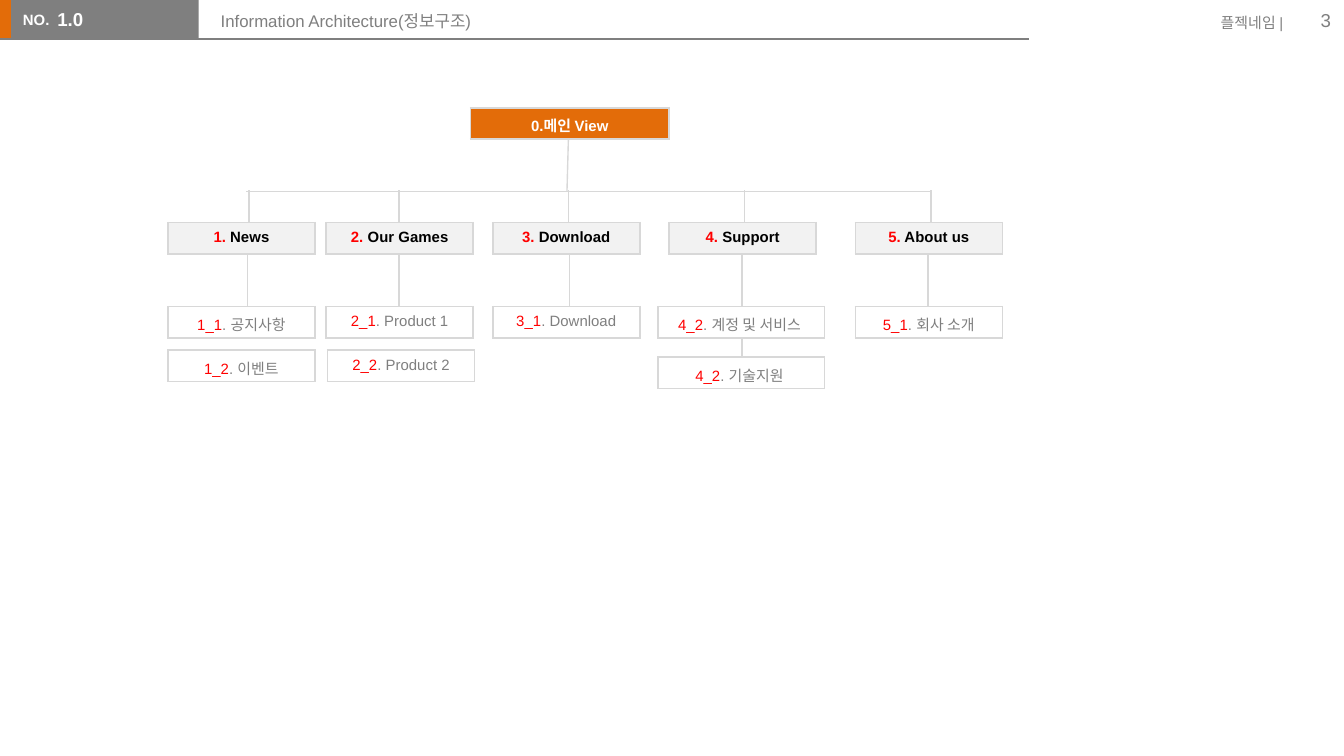
from dataclasses import dataclass

from lxml import etree
from pptx import Presentation
from pptx import util as u
from pptx.dml.color import RGBColor
from pptx.enum import shapes, text
from pptx.oxml.ns import qn


@dataclass(frozen=True)
class Theme:
    font: str = "Arial"
    small: int = 8
    title: int = 9
    large: int = 10
    accent: str = "E36C09"
    gray: str = "7F7F7F"
    rule: str = "D8D8D8"
    pale: str = "F2F2F2"
    white: str = "FFFFFF"
    black: str = "000000"
    red: str = "FF0000"


T = Theme()
ROW, FRAME = 13, 22
WIDE, SLIM = 119, 105
BUS_Y, HEAD_Y, LEAF_Y, NEXT_Y, LAST_Y = 137, 159, 219, 250, 255

# head left, stem x, drop x, drop end, head parts, leaves (left, top, width, code, words)
MENUS = [
    (120, 178, 177, LEAF_Y, ("1. ", "News"),
     [(120, LEAF_Y, SLIM, "1_1", ". 공지사항"), (120, NEXT_Y, SLIM, "1_2", ". 이벤트")]),
    (233, 285, 285, LEAF_Y, ("2.", " Our Games"),
     [(233, LEAF_Y, SLIM, "2_1", ". Product 1"), (234, NEXT_Y, SLIM, "2_2", ". Product 2")]),
    (352, 406, 407, LEAF_Y, ("3.", " Download"),
     [(352, LEAF_Y, SLIM, "3_1", ". Download")]),
    (478, 532, 530, LAST_Y, ("4. ", "Support"),
     [(470, LEAF_Y, WIDE, "4_2", ". 계정 및 서비스 "), (470, LAST_Y, WIDE, "4_2", ". 기술지원 ")]),
    (611, 665, 663, LEAF_Y, ("5.", " About us"),
     [(611, LEAF_Y, SLIM, "5_1", ". 회사 소개")]),
]


def px(n):
    """Turn px, at 96 to the inch, into EMU."""
    return u.Emu(n * 9525)


def rgb(code):
    return RGBColor.from_string(code)


def style(para, size, color, bold=False, align=text.PP_ALIGN.LEFT):
    para.alignment = align
    font = para.font
    font.name, font.size, font.bold = T.font, u.Pt(size), bold
    font.color.rgb = rgb(color)


def bar(slide, x, y, w, h, color):
    box = slide.shapes.add_shape(shapes.MSO_SHAPE.RECTANGLE, *map(px, (x, y, w, h)))
    box.shadow.inherit = False
    box.fill.solid()
    box.fill.fore_color.rgb = rgb(color)
    box.line.fill.background()


def label(slide, x, y, w, h, words, size, color, **kind):
    box = slide.shapes.add_textbox(*map(px, (x, y, w, h)))
    frame = box.text_frame
    frame.word_wrap = True
    frame.text = words
    style(frame.paragraphs[0], size, color, **kind)
    return frame


def line(slide, x1, y1, x2, y2, color=T.rule):
    rule = slide.shapes.add_connector(
        shapes.MSO_CONNECTOR.STRAIGHT, *map(px, (x1, y1, x2, y2)))
    rule.line.color.rgb = rgb(color)
    rule.line.width = u.Pt(0.75)
    etree.SubElement(rule._element.spPr, qn("a:effectLst"))


def border(cell):
    props = cell._tc.get_or_add_tcPr()
    for side in ("lnL", "lnR", "lnT", "lnB"):
        edge = etree.SubElement(props, qn(f"a:{side}"), w=str(u.Pt(1)))
        fill = etree.SubElement(edge, qn("a:solidFill"))
        etree.SubElement(fill, qn("a:srgbClr"), val=T.rule)


def node(slide, x, y, w, parts, fill, bold=False):
    """Add a one-cell table whose row grows with its text."""
    frame = slide.shapes.add_table(1, 1, *map(px, (x, y, w, ROW)))
    frame.height = px(FRAME)
    table = frame.table
    table.first_row = table.horz_banding = False
    cell = table.cell(0, 0)
    border(cell)
    cell.fill.solid()
    cell.fill.fore_color.rgb = rgb(fill)
    para = cell.text_frame.paragraphs[0]
    style(para, T.small, parts[0][1], bold, text.PP_ALIGN.CENTER)
    for words, color in parts:
        run = para.add_run()
        run.text = words
        run.font.color.rgb = rgb(color)


def header(slide):
    right = text.PP_ALIGN.RIGHT
    bar(slide, -1, 0, 12, 28, T.accent)
    bar(slide, 8, 0, 134, 28, T.gray)
    label(slide, 7, 3, 39, 23, "NO.", T.small, T.white, bold=True)
    line(slide, 0, 28, 735, 28, T.gray)
    label(slide, 857, 5, 69, 23, "플젝네임 |", T.small, T.gray, align=right)
    page = label(slide, 902, 0, 58, 29, "3", T.large, T.gray, align=right)
    page.vertical_anchor = text.MSO_ANCHOR.MIDDLE
    number = label(slide, 41, 1, 106, 30, "1.0", T.large, T.white, bold=True)
    number.margin_left = number.margin_right = 0


def heading(slide, words):
    title = slide.shapes.title
    title.left, title.top, title.width, title.height = map(px, (148, 3, 520, 31))
    frame = title.text_frame
    frame.text = words
    frame.vertical_anchor = text.MSO_ANCHOR.TOP
    frame.auto_size = text.MSO_AUTO_SIZE.NONE
    style(frame.paragraphs[0], T.title, T.gray)


def menu(slide, left, stem, drop, end, name, leaves):
    """Draw one branch: drop line, head, leaves and stem."""
    line(slide, drop, HEAD_Y + FRAME, drop, end)
    node(slide, left, HEAD_Y, SLIM, list(zip(name, (T.red, T.black))), T.pale, True)
    for x, y, w, code, words in leaves:
        node(slide, x, y, w, [(code, T.red), (words, T.gray)], T.white)
    line(slide, stem, BUS_Y - 1, stem, HEAD_Y)


def main():
    deck = Presentation()
    deck.slide_width, deck.slide_height = px(960), px(540)
    slide = deck.slides.add_slide(deck.slide_layouts[5])
    header(slide)
    heading(slide, "Information Architecture(정보구조)")
    node(slide, 336, 77, 142, [("0.메인 View", T.white)], T.accent, True)
    line(slide, 406, 99, 405, BUS_Y)
    line(slide, 665, BUS_Y, 176, BUS_Y)
    for branch in MENUS:
        menu(slide, *branch)
    deck.save("out.pptx")


if __name__ == "__main__":
    main()
